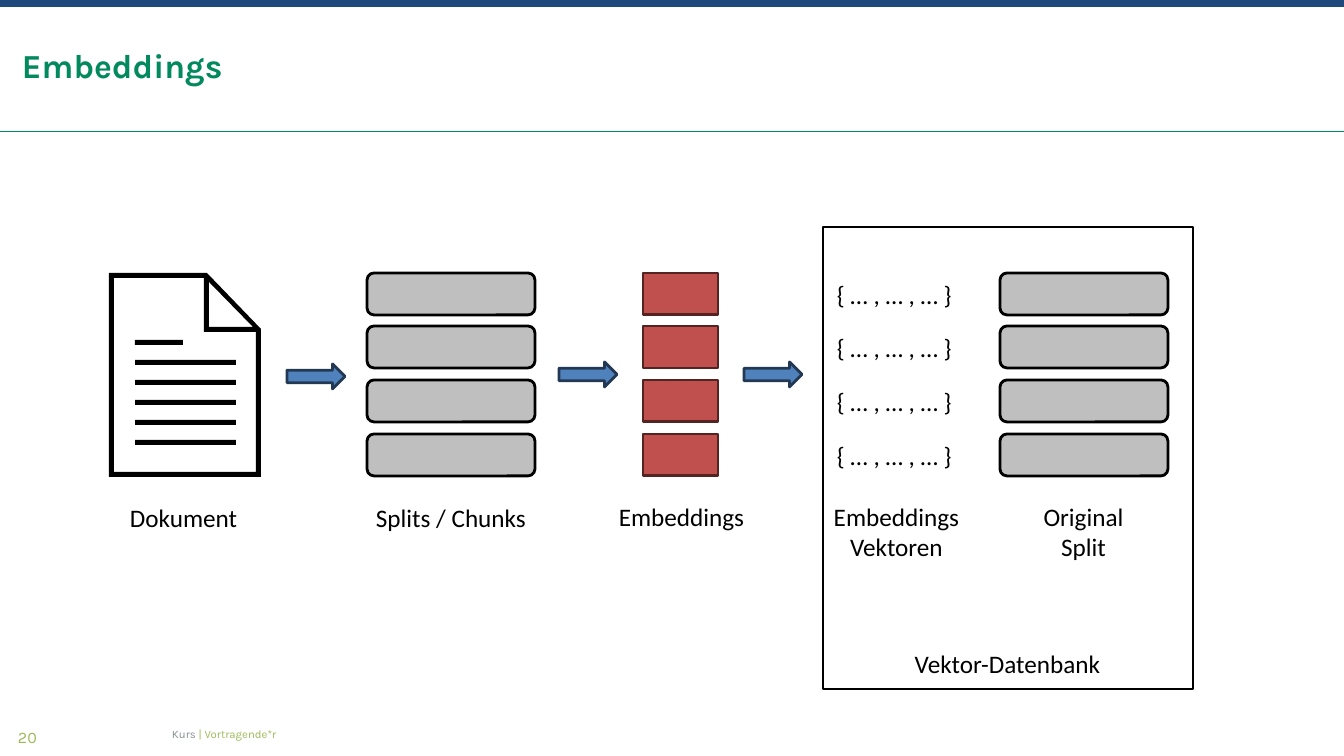
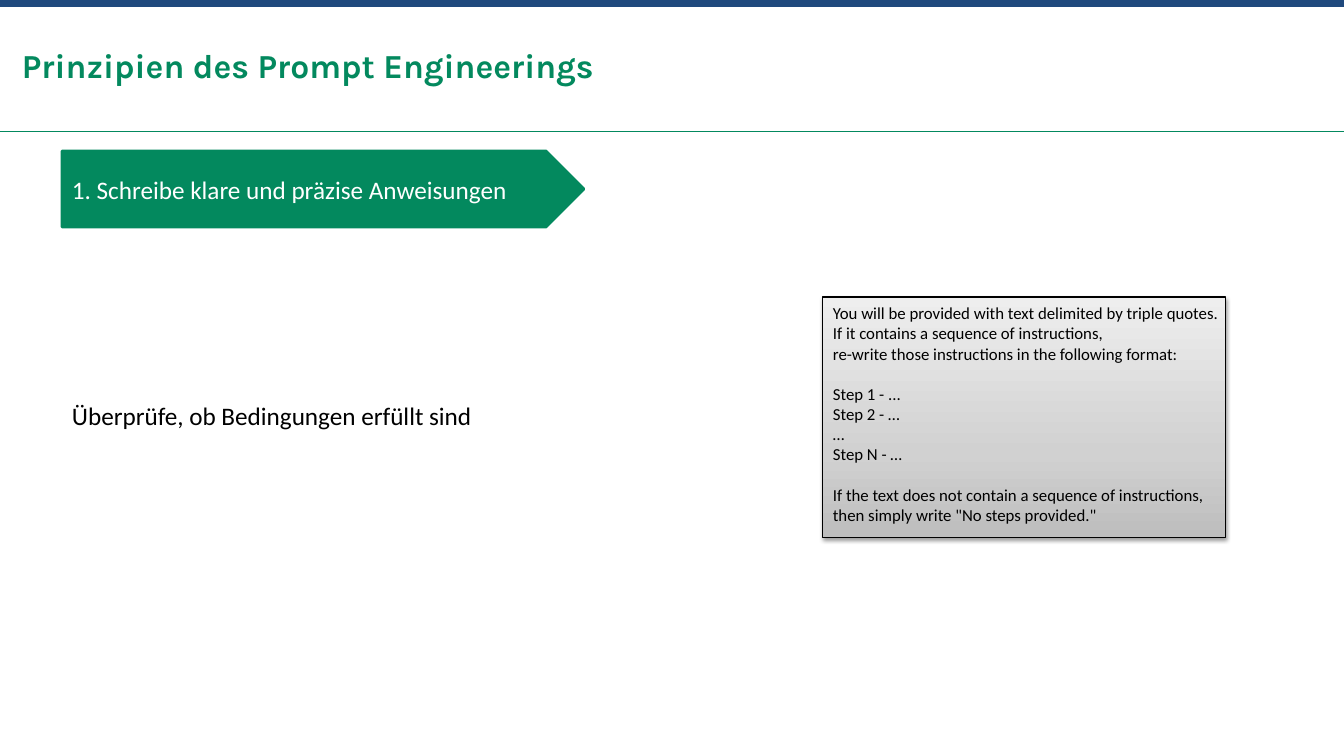
from copy import deepcopy
from dataclasses import dataclass

from lxml.etree import SubElement
from pptx import Presentation
from pptx.dml.color import RGBColor
from pptx.enum.shapes import MSO_CONNECTOR, MSO_SHAPE as Preset
from pptx.enum.text import MSO_ANCHOR as Anchor, MSO_AUTO_SIZE as AutoSize, PP_ALIGN as Align
from pptx.oxml.ns import qn
from pptx.shapes.autoshape import Shape
from pptx.slide import Slide
from pptx.text.text import TextFrame
from pptx.util import Emu, Pt

EMU_PER_PX = 12192000 / 1344
PAGE_W, PAGE_H = 1344, 756

BLACK = RGBColor(0x00, 0x00, 0x00)
WHITE = RGBColor(0xFF, 0xFF, 0xFF)
GREEN = RGBColor(0x03, 0x89, 0x5E)
NAVY = RGBColor(0x1F, 0x49, 0x7D)
LIME = RGBColor(0x9B, 0xBB, 0x59)
SLATE = RGBColor(0x88, 0x91, 0x94)
GREY = RGBColor(0xBF, 0xBF, 0xBF)
RED = RGBColor(0xC0, 0x50, 0x4D)
DARK_RED = RGBColor(0x54, 0x23, 0x22)
BLUE = RGBColor(0x4F, 0x81, 0xBD)
DARK_BLUE = RGBColor(0x23, 0x39, 0x53)
PROMPT_STOPS = (
    (0, RGBColor(0xBD, 0xBD, 0xBD)),
    (0.35, RGBColor(0xD1, 0xD1, 0xD1)),
    (1, RGBColor(0xEE, 0xEE, 0xEE)),
)

BODY_FONT, BRAND_FONT = "Calibri", "Karla"


@dataclass(frozen=True)
class Box:
    x: int
    y: int
    w: int
    h: int

    def emu(self) -> tuple[Emu, ...]:
        return tuple(px(v) for v in (self.x, self.y, self.w, self.h))


@dataclass(frozen=True)
class Style:
    size: float = 18
    color: RGBColor = BLACK
    font: str = BODY_FONT
    bold: bool = False


@dataclass(frozen=True)
class Look:
    preset: Preset
    fill: RGBColor | None = None
    line: RGBColor | None = None
    line_pt: float = 2


@dataclass(frozen=True)
class Label:
    box: Box
    lines: tuple[str, ...]


BODY = Style()
TITLE = Style(24, GREEN, BRAND_FONT, True)
PAGE_NUMBER = Style(11.5, LIME, BRAND_FONT)
CHUNK = Look(Preset.ROUNDED_RECTANGLE, GREY, BLACK)
EMBEDDING = Look(Preset.RECTANGLE, RED, DARK_RED)
ARROW = Look(Preset.RIGHT_ARROW, BLUE, DARK_BLUE)
INK = Look(Preset.RECTANGLE, BLACK)

ROW_TOPS = [273 + 161 * row // 3 for row in range(4)]
ROW_H = 42
CHUNK_W = 168
ARROW_SPOTS = ((287, 364), (559, 362), (744, 362))
LABELS = (
    Label(Box(119, 497, 129, 40), ("Dokument",)),
    Label(Box(365, 497, 172, 40), ("Splits / Chunks",)),
    Label(Box(608, 496, 147, 40), ("Embeddings",)),
    Label(Box(823, 496, 147, 72), ("Embeddings", "Vektoren")),
    Label(Box(1033, 496, 101, 72), ("Original", "Split")),
    Label(Box(903, 643, 209, 40), ("Vektor-Datenbank",)),
)
DOCUMENT_OUTLINES = (
    ((109, 273), (109, 477), (261, 477), (261, 329), (207, 273)),
    ((209, 282), (253, 327), (209, 327)),
    ((114, 472), (114, 278), (204, 278), (204, 332), (256, 332), (256, 472)),
)
PROMPT_GROUPS = (
    (
        "You will be provided with text delimited by triple quotes.",
        "If it contains a sequence of instructions,",
        "re-write those instructions in the following format:",
    ),
    ("Step 1 - ...", "Step 2 - …", "…", "Step N - …"),
    (
        "If the text does not contain a sequence of instructions,",
        'then simply write "No steps provided."',
    ),
)


def px(value: int) -> Emu:
    return Emu(round(value * EMU_PER_PX))


def add_line(frame: TextFrame, spans: list[tuple[str, Style]],
             align: Align = Align.LEFT, space_before: float = 0) -> None:
    """Write one paragraph, reusing the empty one of a new frame."""
    first = frame.paragraphs[0]
    para = frame.add_paragraph() if first.runs else first
    para.alignment = align
    para.space_before = Pt(space_before)
    for text, style in spans:
        span = para.add_run()
        span.text = text
        span.font.name = style.font
        span.font.size = Pt(style.size)
        span.font.bold = style.bold
        span.font.color.rgb = style.color


def set_frame(frame: TextFrame, anchor: Anchor, wrap: bool, inset: bool) -> None:
    frame.auto_size = AutoSize.NONE
    frame.vertical_anchor = anchor
    frame.word_wrap = wrap
    if not inset:
        frame.margin_left = frame.margin_right = 0
        frame.margin_top = frame.margin_bottom = 0


def add_text_box(page: Slide, box: Box, anchor: Anchor = Anchor.TOP,
                 wrap: bool = False, inset: bool = True) -> TextFrame:
    frame = page.shapes.add_textbox(*box.emu()).text_frame
    set_frame(frame, anchor, wrap, inset)
    return frame


def apply_look(shape: Shape, look: Look) -> None:
    shape.shadow.inherit = False
    if look.fill is None:
        shape.fill.background()
    else:
        shape.fill.solid()
        shape.fill.fore_color.rgb = look.fill
    if look.line is None:
        shape.line.fill.background()
    else:
        shape.line.color.rgb = look.line
        shape.line.width = Pt(look.line_pt)


def add_box(shapes, box: Box, look: Look) -> Shape:
    shape = shapes.add_shape(look.preset, *box.emu())
    apply_look(shape, look)
    return shape


def add_page(deck: Presentation, title: str) -> Slide:
    """Add a slide with the top band, the title and the rule below it."""
    page = deck.slides.add_slide(deck.slide_layouts[5])
    rule = page.shapes.add_connector(
        MSO_CONNECTOR.STRAIGHT, px(PAGE_W), px(132), px(0), px(132))
    rule.line.color.rgb = GREEN
    rule.line.width = Pt(0.72)
    SubElement(rule._element.spPr, qn("a:effectLst"))
    add_box(page.shapes, Box(0, 0, PAGE_W, 7), Look(Preset.RECTANGLE, NAVY))

    heading = page.shapes.title
    heading.left, heading.top, heading.width, heading.height = Box(22, 44, 1301, 41).emu()
    set_frame(heading.text_frame, Anchor.BOTTOM, wrap=True, inset=False)
    add_line(heading.text_frame, [(title, TITLE)])
    return page


def add_footer(page: Slide, number: str) -> None:
    frame = add_text_box(page, Box(18, 727, 150, 19), wrap=True, inset=False)
    add_line(frame, [(number, PAGE_NUMBER)])
    frame = add_text_box(page, Box(172, 726, 999, 15), Anchor.MIDDLE, wrap=True, inset=False)
    add_line(frame, [("Kurs ", Style(8.1, SLATE, BRAND_FONT)),
                     ("| Vortragende*r", Style(8.1, LIME, BRAND_FONT))])


def add_document_icon(page: Slide) -> None:
    icon = page.shapes.add_group_shape().shapes
    builder = icon.build_freeform(*DOCUMENT_OUTLINES[0][0], scale=EMU_PER_PX)
    for index, (start, *rest) in enumerate(DOCUMENT_OUTLINES):
        if index:
            builder.move_to(*start)
        builder.add_line_segments(rest, close=True)
    apply_look(builder.convert_to_shape(), INK)
    for row in range(6):
        add_box(icon, Box(135, 340 + 20 * row, 101 if row else 48, 5), INK)


def add_prompt_panel(page: Slide, box: Box) -> None:
    """Add the panel with a three-stop gradient and a soft shadow."""
    panel = add_box(page.shapes, box, Look(Preset.RECTANGLE, None, BLACK, 0.75))
    panel.fill.gradient()
    panel.fill.gradient_angle = 90
    properties = panel._element.spPr
    stop_list = properties.find(".//" + qn("a:gsLst"))
    stop_list.append(deepcopy(stop_list[-1]))
    for stop, (position, color) in zip(panel.fill.gradient_stops, PROMPT_STOPS):
        stop.position = position
        stop.color.rgb = color
    shadow = SubElement(properties.find(qn("a:effectLst")), qn("a:outerShdw"),
                        blurRad=str(Pt(3.1)), dist=str(Pt(1.6)), dir="5400000",
                        rotWithShape="0")
    tone = SubElement(shadow, qn("a:srgbClr"), val=str(BLACK))
    SubElement(tone, qn("a:alpha"), val="38000")


def build_embeddings(deck: Presentation) -> None:
    page = add_page(deck, "Embeddings")
    add_footer(page, "20")
    add_document_icon(page)
    for x, y in ARROW_SPOTS:
        add_box(page.shapes, Box(x, y, 58, 25), ARROW)
    for top in ROW_TOPS:
        add_box(page.shapes, Box(367, top, CHUNK_W, ROW_H), CHUNK)
        add_box(page.shapes, Box(643, top, 75, ROW_H), EMBEDDING)
        vector = add_text_box(page, Box(827, top + 1, 138, 40))
        add_line(vector, [("{ … , … , … }", BODY)])
        add_box(page.shapes, Box(1000, top, CHUNK_W, ROW_H), CHUNK)
    add_box(page.shapes, Box(823, 227, 370, 462), Look(Preset.RECTANGLE, None, BLACK))
    for label in LABELS:
        frame = add_text_box(page, label.box)
        for line in label.lines:
            add_line(frame, [(line, BODY)], Align.CENTER)


def build_principles(deck: Presentation) -> None:
    page = add_page(deck, "Prinzipien des Prompt Engineerings")
    banner = add_box(page.shapes, Box(62, 151, 522, 76), Look(Preset.PENTAGON, GREEN, GREEN))
    set_frame(banner.text_frame, Anchor.MIDDLE, wrap=True, inset=True)
    add_line(banner.text_frame,
             [("1. Schreibe klare und präzise Anweisungen", Style(color=WHITE))])
    condition = add_text_box(page, Box(62, 395, 426, 40))
    add_line(condition, [("Überprüfe, ob Bedingungen erfüllt sind", BODY)])

    add_prompt_panel(page, Box(823, 297, 403, 241))
    prompt = add_text_box(page, Box(823, 298, 420, 234), wrap=True)
    for group_index, group in enumerate(PROMPT_GROUPS):
        for line_index, line in enumerate(group):
            gap = 14.5 if group_index and not line_index else 0
            add_line(prompt, [(line, Style(12))], space_before=gap)


def main() -> None:
    deck = Presentation()
    deck.slide_width, deck.slide_height = px(PAGE_W), px(PAGE_H)
    build_embeddings(deck)
    build_principles(deck)
    deck.save("out.pptx")


if __name__ == "__main__":
    main()
